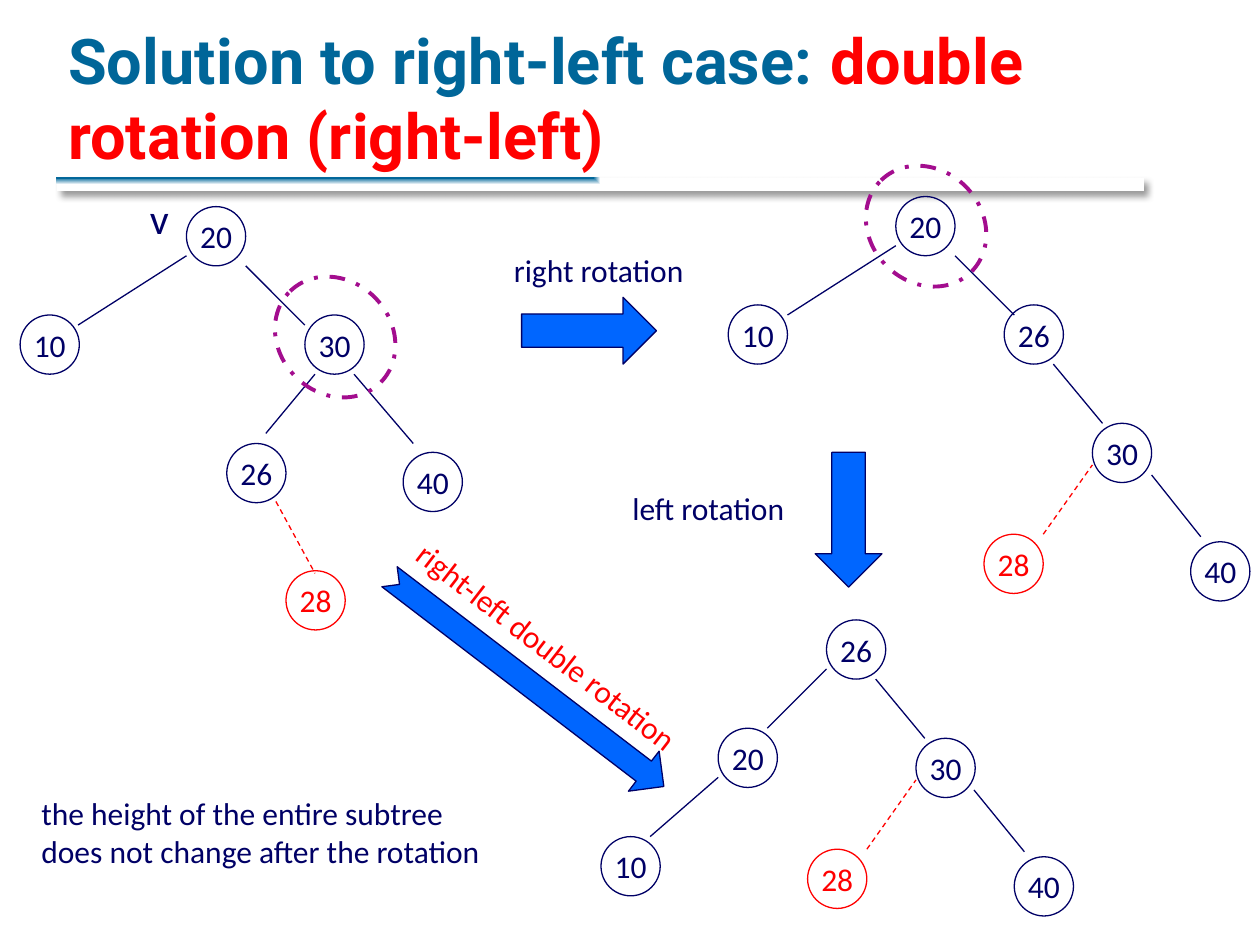
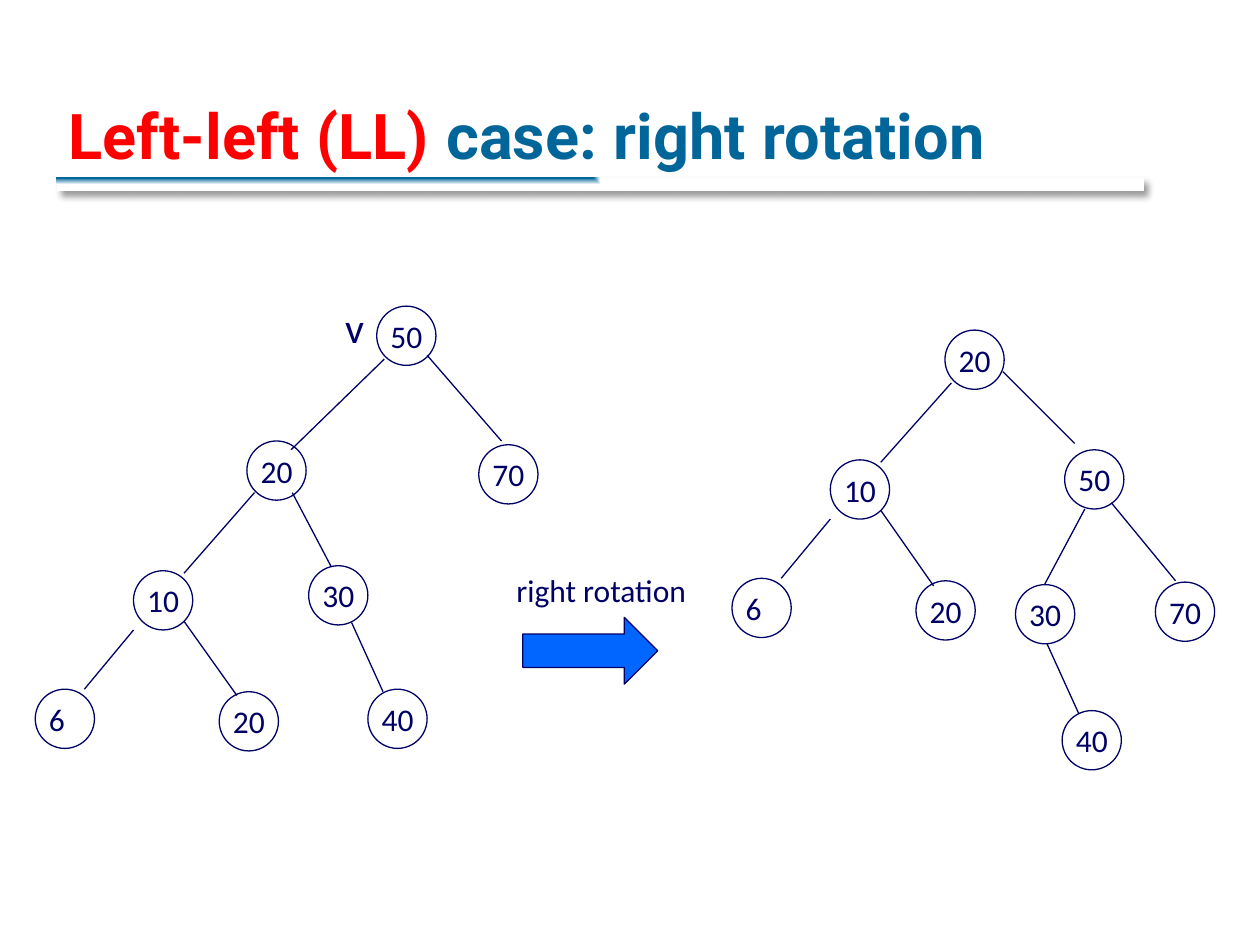
import dataclasses

import lxml.etree
import pptx
import pptx.dml.color
import pptx.enum.dml
import pptx.enum.shapes
import pptx.enum.text
import pptx.oxml.ns
import pptx.util

SHAPE = pptx.enum.shapes.MSO_SHAPE
DASH = pptx.enum.dml.MSO_LINE
ANCHOR = pptx.enum.text.MSO_ANCHOR
qn = pptx.oxml.ns.qn


@dataclasses.dataclass(frozen=True)
class Theme:
    title: str = "006699"
    ink: str = "000066"
    accent: str = "FF0000"
    arrow: str = "0066FF"
    highlight: str = "A30D8E"
    white: str = "FFFFFF"
    title_font: str = "Roboto"
    body_font: str = "Calibri"
    title_size: int = 36
    body_size: int = 18
    mark_size: int = 24
    thin: float = 0.75
    thick: float = 2.25
    columns: int = 100
    rows: int = 75
    node: float = 4.7


def rgb(value):
    return pptx.dml.color.RGBColor.from_string(value)


def child(parent, tag, **attributes):
    return lxml.etree.SubElement(parent, qn(tag), attributes)


class Deck:
    """Draws on the current slide; every length is in grid columns and rows."""

    def __init__(self, theme):
        self.theme = theme
        self.prs = pptx.Presentation()
        self.prs.slide_width = pptx.util.Inches(10)
        self.prs.slide_height = pptx.util.Inches(7.5)
        self.slide = None

    def x(self, columns):
        return round(self.prs.slide_width * columns / self.theme.columns)

    def y(self, rows):
        return round(self.prs.slide_height * rows / self.theme.rows)

    def box(self, left, top, width, height):
        return self.x(left), self.y(top), self.x(width), self.y(height)

    def font(self, font, size, color, name=None):
        font.name = name or self.theme.body_font
        font.size = pptx.util.Pt(size)
        font.color.rgb = rgb(color)

    def stroke(self, line, color, width=None, dash=None):
        line.color.rgb = rgb(color)
        line.width = pptx.util.Pt(width or self.theme.thin)
        if dash:
            line.dash_style = dash

    def add_slide(self, *title):
        """Start a slide; the title is given as (text, color) parts."""
        self.slide = self.prs.slides.add_slide(self.prs.slide_layouts[5])
        sp = self.slide.shapes.title
        sp.left, sp.top, sp.width, sp.height = self.box(4.4, 1.7, 85, 12.5)
        tf = sp.text_frame
        tf.vertical_anchor = ANCHOR.BOTTOM
        tf.auto_size = pptx.enum.text.MSO_AUTO_SIZE.NONE
        p = tf.paragraphs[0]
        p.alignment = pptx.enum.text.PP_ALIGN.LEFT
        for text, color in title:
            r = p.add_run()
            r.text = text
            self.font(r.font, self.theme.title_size, color, self.theme.title_font)
            r.font.bold = True
            r.font._element.set("spc", "10")

    def shape(self, kind, box, fill=None, line=None, rotation=0, **stroke):
        sp = self.slide.shapes.add_shape(kind, *self.box(*box))
        sp.shadow.inherit = False
        sp.rotation = rotation
        if fill:
            sp.fill.solid()
            sp.fill.fore_color.rgb = rgb(fill)
        else:
            sp.fill.background()
        self.stroke(sp.line, line or self.theme.ink, **stroke)
        return sp

    def master_rule(self):
        """Put the shadowed rule under the title on the slide master."""
        sp = self.shape(SHAPE.RECTANGLE, (4.5, 14.1, 86.3, 1.1))
        sp.line.fill.background()
        sp.fill.gradient()
        for stop, color in zip(sp.fill.gradient_stops, (self.theme.title, self.theme.white)):
            stop.color.rgb = rgb(color)
        props = sp.element.spPr
        linear = props.find(".//" + qn("a:lin"))
        path = lxml.etree.Element(qn("a:path"), path="rect")
        child(path, "a:fillToRect", r="100000", b="100000")
        linear.getparent().replace(linear, path)
        shadow = child(props.find(qn("a:effectLst")), "a:outerShdw", blurRad="50800",
                       dist="38100", dir="2700000", algn="tl", rotWithShape="0")
        child(child(shadow, "a:srgbClr", val="000000"), "a:alpha", val="40000")
        self.prs.slide_master.shapes.element.insert(2, sp.element)

    def arrow(self, kind, box, rotation=0):
        self.shape(kind, box, fill=self.theme.arrow, rotation=rotation)

    def ring(self, left, top):
        self.shape(SHAPE.OVAL, (left, top, 10.2, 8.9), line=self.theme.highlight,
                   rotation=45.6, width=self.theme.thick, dash=DASH.DASH_DOT)

    def label(self, text, box, size=None, color=None, rotation=0):
        sp = self.slide.shapes.add_textbox(*self.box(*box))
        sp.rotation = rotation
        tf = sp.text_frame
        tf.word_wrap = bool(rotation)
        tf.text = text
        for p in tf.paragraphs:
            self.font(p.runs[0].font, size or self.theme.body_size, color or self.theme.ink)

    def mark(self, left, top):
        self.label("v", (left, top, 3.5, 5), size=self.theme.mark_size)

    def node(self, value, left, top, color):
        side = self.theme.node
        sp = self.shape(SHAPE.OVAL, (left, top, side, side), line=color)
        tf = sp.text_frame
        tf.margin_left = self.x(0.4)
        tf.margin_right = tf.margin_top = tf.margin_bottom = 0
        tf.vertical_anchor = ANCHOR.MIDDLE
        tf.text = str(value)
        p = tf.paragraphs[0]
        p.alignment = pptx.enum.text.PP_ALIGN.LEFT
        self.font(p.runs[0].font, self.theme.body_size, color)

    def edge(self, start, end, color, dash=None):
        straight = pptx.enum.shapes.MSO_CONNECTOR.STRAIGHT
        c = self.slide.shapes.add_connector(
            straight, self.x(start[0]), self.y(start[1]), self.x(end[0]), self.y(end[1]))
        self.stroke(c.line, color, dash=dash)
        child(c.element.spPr, "a:effectLst")

    def tree(self, *nodes, inserted=None):
        """Draw (value, left, top, *edge ends) nodes; the inserted value is red and dashed."""
        for value, left, top, *ends in nodes:
            is_new = value == inserted
            color = self.theme.accent if is_new else self.theme.ink
            self.node(value, left, top, color)
            if ends:
                self.edge(*ends, color, DASH.DASH if is_new else None)


def double_rotation(deck):
    t = deck.theme
    deck.add_slide(("Solution to right-left case: ", t.title),
                   ("double rotation (right-left)", t.accent))
    deck.master_rule()
    deck.tree((20, 14.8, 16.4),
              (10, 1.6, 25, (14.8, 20.3), (6.2, 25.8)),
              (30, 24.2, 25, (19.5, 21.1), (24.2, 25.8)),
              (26, 18, 35.2, (25, 29.7), (21.1, 34.4)),
              (40, 32, 35.9, (28.1, 29.7), (32.8, 35.2)),
              (28, 22.7, 45.3, (21.9, 39.8), (25, 45.5)), inserted=28)
    deck.mark(10.9, 14.8)
    deck.tree((20, 71.1, 15.6),
              (10, 57.8, 24.2, (71.1, 19.5), (62.5, 25)),
              (26, 79.7, 24.2, (75.8, 20.3), (80.5, 25)),
              (30, 86.7, 33.6, (83.6, 28.9), (87.5, 33.6)),
              (28, 78.1, 42.4, (82.8, 42.4), (86.7, 36.9)),
              (40, 94.5, 43, (91.4, 37.7), (95.3, 42.6)), inserted=28)
    deck.tree((26, 65.6, 49.2),
              (20, 57, 57.8, (65.6, 53.1), (60.9, 57.8)),
              (10, 47.7, 66.4, (57, 61.7), (51.6, 66.4)),
              (30, 72.7, 58.6, (69.5, 53.9), (73.4, 58.6)),
              (28, 64.1, 67.4, (68.8, 67.4), (72.7, 61.9)),
              (40, 80.5, 68, (77.3, 62.7), (81.3, 67.6)), inserted=28)
    deck.arrow(SHAPE.RIGHT_ARROW, (41.4, 23.6, 10.7, 5.3))
    deck.label("right rotation", (39.8, 19.4, 15.7, 4))
    deck.label("left rotation", (49.2, 38.3, 14.2, 4))
    deck.arrow(SHAPE.DOWN_ARROW, (64.7, 35.9, 5.3, 10.7))
    deck.arrow(SHAPE.NOTCHED_RIGHT_ARROW, (28.1, 52.1, 27.4, 4), rotation=37.4)
    deck.label("right-left double rotation", (29.8, 49.4, 27.5, 4),
               color=t.accent, rotation=37.7)
    deck.label("the height of the entire subtree\ndoes not change after the rotation",
               (2.3, 62.5, 37.2, 7.1))
    deck.ring(21.5, 22.3)
    deck.ring(68.4, 13.5)


def left_left_case(deck):
    t = deck.theme
    deck.add_slide(("Left-left (LL) ", t.accent), ("case: right rotation", t.title))
    deck.tree((50, 29.9, 24.3),
              (20, 19.6, 35, (30.5, 28.5), (23.1, 35.7)),
              (70, 38, 35.3, (33.9, 28.2), (39.8, 35)),
              (10, 10.6, 45.3, (20.2, 39.1), (14.6, 45.5)),
              (30, 24.5, 44.9, (23.2, 39.1), (26.3, 45)),
              (6, 2.8, 54.7, (10.6, 50), (6.7, 54.7)),
              (20, 17.4, 54.9, (14.6, 49.3), (18.8, 55.2)),
              (40, 29.2, 54.7, (27.9, 49.4), (30.4, 54.9)))
    deck.mark(26.4, 23.4)
    deck.arrow(SHAPE.RIGHT_ARROW, (41.5, 49, 10.7, 5.3))
    deck.label("right rotation", (40, 44.8, 15.7, 4))
    deck.tree((20, 75, 26.2),
              (10, 65.9, 36.5, (75.5, 30.4), (69.9, 36.7)),
              (50, 84.5, 35.7, (79.6, 29.5), (85.3, 35.2)),
              (6, 58.1, 45.9, (65.9, 41.2), (62, 45.9)),
              (20, 72.7, 46.1, (69.9, 40.5), (74.1, 46.5)),
              (30, 80.6, 46.4, (86.1, 40.4), (82.9, 46.4)),
              (70, 91.7, 46.2, (88.2, 39.9), (93.3, 46.1)),
              (40, 84.3, 56.4, (83.1, 51.1), (85.6, 56.6)))


def main():
    deck = Deck(Theme())
    double_rotation(deck)
    left_left_case(deck)
    deck.prs.save("out.pptx")


if __name__ == "__main__":
    main()
